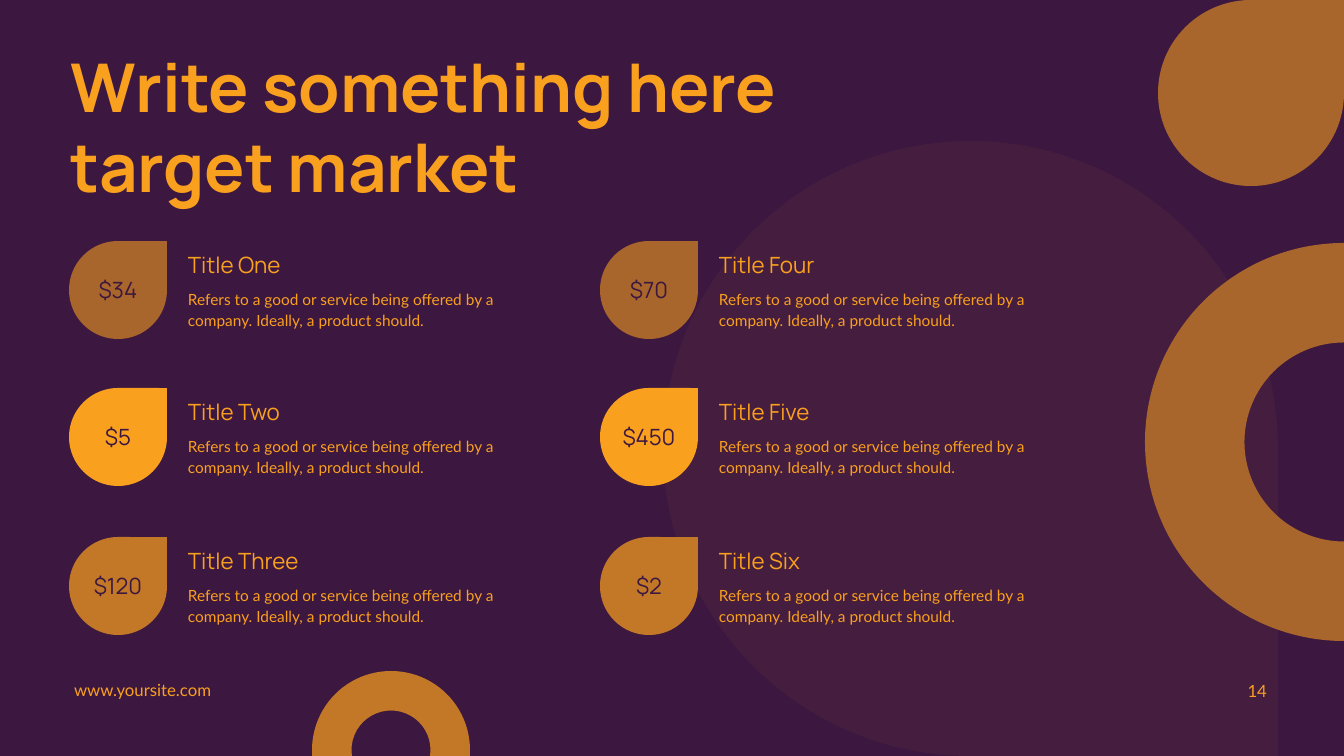
from pptx import Presentation
from pptx.dml.color import RGBColor as Rgb
from pptx.enum.shapes import MSO_SHAPE as Kind
from pptx.enum.text import MSO_ANCHOR as Anchor, MSO_AUTO_SIZE as Fit, PP_ALIGN as Align
from pptx.oxml.ns import qn
from pptx.util import Pt
from lxml.etree import SubElement

PX = 914400 / 100.8
HUES = {"night": "3C1740", "gold": "F9A01E", "amber": "C37827", "rust": "A8652C"}
FLUSH = {f"margin_{side}": 0 for side in ("left", "top", "right", "bottom")}
DROP = 98
LEFTS = (69, 600)
ROWS = ((241, "rust"), (388, "gold"), (537, "amber"))
ITEMS = (
    ("Title One", "$34"), ("Title Two", "$5"), ("Title Three", "$120"),
    ("Title Four", "$70"), ("Title Five", "$450"), ("Title Six", "$2"),
)
BLURB = "Refers to a good or service being offered by a company. Ideally, a product should."


def emu(*sizes):
    return [round(size * PX) for size in sizes]


def tint(name):
    return Rgb.from_string(HUES[name])


def assign(item, values):
    for name, value in values.items():
        setattr(item, name, value)


def write(shape, text, face, size, hue="gold", bold=False, frame=None, para=None):
    """Fill a shape with one paragraph; frame and para hold extra format values."""
    box = shape.text_frame
    base = {"word_wrap": True, "auto_size": Fit.NONE, "vertical_anchor": Anchor.TOP}
    assign(box, base | (frame or {}))
    line = box.paragraphs[0]
    line.text = text
    assign(line, {"alignment": Align.LEFT} | (para or {}))
    assign(line.font, {"name": face, "size": Pt(size), "bold": bold})
    line.font.color.rgb = tint(hue)


def label(slide, place, *args, **formats):
    write(slide.shapes.add_textbox(*emu(*place)), *args, **formats)


def figure(slide, kind, left, top, side, hue):
    shape = slide.shapes.add_shape(kind, *emu(left, top, side, side))
    shape.shadow.inherit = False
    shape.fill.solid()
    shape.fill.fore_color.rgb = tint(hue)
    shape.line.fill.background()
    return shape


def ring(slide, left, top, side, hue):
    figure(slide, Kind.DONUT, left, top, side, hue).adjustments[0] = 0.25


def veil(slide):
    """Draw the large faint drop, its tip at the lower right."""
    shape = figure(slide, Kind.TEAR, 663, 141, 615, "gold")
    shape.rotation = 90
    color = shape.fill._xPr.find(qn("a:solidFill"))[0]
    SubElement(color, qn("a:alpha")).set("val", "5000")


def offer(slide, left, top, hue, name, price):
    figure(slide, Kind.TEAR, left, top, DROP, hue)
    label(slide, (left + 18, top + 30, DROP - 36, 37), price, "Manrope", 16, "night",
          frame={"word_wrap": False}, para={"alignment": Align.CENTER})
    label(slide, (left + 109, top + 5, 204, 37), name, "Manrope", 16)
    label(slide, (left + 109, top + 41, 372, 50), BLURB, "Lato", 11,
          para={"line_spacing": Pt(15.3)})


def heading(slide):
    title = slide.shapes.title
    assign(title, dict(zip(("left", "top", "width", "height"), emu(70, 45, 905, 163))))
    write(title, "Write something here target market", "Manrope", 48, bold=True, frame=FLUSH)


def main():
    deck = Presentation()
    deck.slide_width, deck.slide_height = emu(1344, 756)
    slide = deck.slides.add_slide(deck.slide_layouts[5])
    slide.background.fill.solid()
    slide.background.fill.fore_color.rgb = tint("night")

    figure(slide, Kind.TEAR, 1158, 0, 186, "rust")
    veil(slide)
    heading(slide)
    for spot, item in enumerate(ITEMS):
        col, row = divmod(spot, len(ROWS))
        offer(slide, LEFTS[col], *ROWS[row], *item)
    ring(slide, 1145, 243, 398, "rust")
    ring(slide, 312, 671, 158, "amber")
    label(slide, (74, 680, 273, 20), "www.yoursite.com", "Lato", 12, frame=FLUSH)
    label(slide, (975, 671, 302, 40), "14", "Lato", 12,
          frame={"vertical_anchor": Anchor.MIDDLE}, para={"alignment": Align.RIGHT})
    deck.save("out.pptx")


if __name__ == "__main__":
    main()
